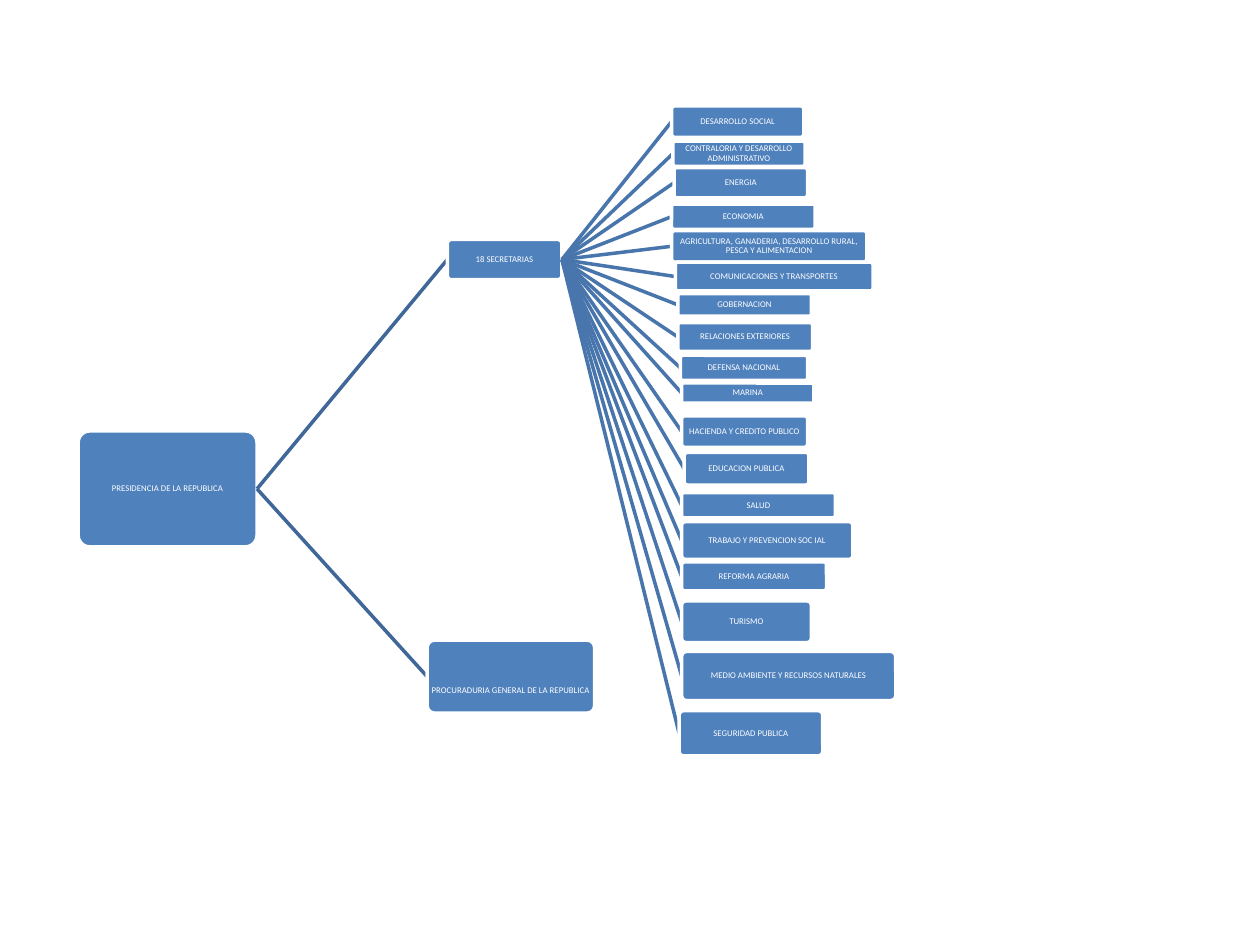
"""Builds an organisation chart of the presidency and its secretariats."""
from pptx import Presentation
from pptx.dml.color import RGBColor
from pptx.enum.shapes import MSO_CONNECTOR as Connector, MSO_SHAPE as Shape
from pptx.enum.text import MSO_ANCHOR as Anchor, PP_ALIGN as Align
from pptx.oxml.ns import qn
from pptx.util import Inches, Pt

WHITE = RGBColor(0xFF, 0xFF, 0xFF)
BLUE = RGBColor(0x4F, 0x81, 0xBD)
BRANCH_BLUE = RGBColor(0x3F, 0x67, 0x97)
LEAF_BLUE = RGBColor(0x48, 0x75, 0xAC)
TOP, LEFT, BOTTOM, RIGHT = range(4)

SECRETARIATS = [
    ("DESARROLLO SOCIAL", 5.33, 0.84, 1.05, 0.25),
    ("CONTRALORIA Y DESARROLLO ADMINISTRATIVO", 5.34, 1.12, 1.05, 0.2),
    ("ENERGIA", 5.35, 1.33, 1.06, 0.24),
    ("ECONOMIA", 5.33, 1.62, 1.14, 0.2),
    ("AGRICULTURA, GANADERIA, DESARROLLO RURAL, PESCA Y ALIMENTACION",
     5.33, 1.83, 1.55, 0.25),
    ("COMUNICACIONES Y TRANSPORTES", 5.36, 2.08, 1.57, 0.23),
    ("GOBERNACION", 5.38, 2.33, 1.06, 0.18),
    ("RELACIONES EXTERIORES", 5.38, 2.56, 1.07, 0.23),
    ("DEFENSA NACIONAL", 5.4, 2.82, 1.01, 0.2),
    ("MARINA", 5.41, 3.04, 1.05, 0.16),
    ("HACIENDA Y CREDITO PUBLICO", 5.41, 3.3, 1, 0.25),
    ("EDUCACION PUBLICA", 5.43, 3.59, 0.99, 0.26),
    ("SALUD", 5.41, 3.91, 1.22, 0.2),
    ("TRABAJO Y PREVENCION SOC IAL", 5.41, 4.14, 1.36, 0.3),
    ("REFORMA AGRARIA", 5.41, 4.46, 1.15, 0.23),
    ("TURISMO", 5.41, 4.77, 1.03, 0.33),
    ("MEDIO AMBIENTE Y RECURSOS NATURALES", 5.41, 5.17, 1.7, 0.39),
    ("SEGURIDAD PUBLICA", 5.39, 5.64, 1.14, 0.36),
]


def write_text(frame, text, *, size=5, color=WHITE, font="Calibri", inset_top=0):
    frame.word_wrap = True
    frame.vertical_anchor = Anchor.MIDDLE
    frame.margin_left = frame.margin_right = frame.margin_bottom = 0
    frame.margin_top = Inches(inset_top)
    paragraph = frame.paragraphs[0]
    paragraph.alignment = Align.CENTER
    paragraph.line_spacing = 0.9
    run = paragraph.add_run()
    run.text = text
    run.font.name = font
    run.font.size = Pt(size)
    run.font.color.rgb = color


class OrganisationChart:
    def __init__(self, slide, line_width=2, corner=0.1):
        self.slide = slide
        self.line_width = Pt(line_width)
        self.corner = corner

    def box(self, text, left, top, width, height, **text_format):
        shape = self.slide.shapes.add_shape(
            Shape.ROUNDED_RECTANGLE,
            Inches(left), Inches(top), Inches(width), Inches(height))
        shape.adjustments[0] = self.corner
        shape.shadow.inherit = False
        shape.fill.solid()
        shape.fill.fore_color.rgb = BLUE
        shape.line.color.rgb = WHITE
        shape.line.width = self.line_width
        write_text(shape.text_frame, text, **text_format)
        return shape

    def line(self, parent, color):
        connector = self.slide.shapes.add_connector(Connector.STRAIGHT, 0, 0, 0, 0)
        connector.begin_connect(parent, RIGHT)
        connector.line.color.rgb = color
        connector.line.width = self.line_width
        properties = connector._element.spPr
        properties.append(properties.makeelement(qn("a:effectLst"), {}))
        return connector

    def child(self, parent, color, *box, **text_format):
        connector = self.line(parent, color)
        shape = self.box(*box, **text_format)
        connector.end_connect(shape, LEFT)
        return shape


def main():
    presentation = Presentation()
    presentation.slide_width = Inches(10)
    presentation.slide_height = Inches(7.5)
    slide = presentation.slides.add_slide(presentation.slide_layouts[6])
    chart = OrganisationChart(slide)

    presidency = chart.box("PRESIDENCIA DE LA REPUBLICA", 0.62, 3.42, 1.42, 0.92)
    secretariats = chart.child(
        presidency, BRANCH_BLUE, "18 SECRETARIAS", 3.55, 1.9, 0.91, 0.32)
    for secretariat in SECRETARIATS:
        chart.child(secretariats, LEAF_BLUE, *secretariat)
    chart.child(presidency, BRANCH_BLUE, "PROCURADURIA GENERAL DE LA REPUBLICA",
                3.39, 5.08, 1.33, 0.58, inset_top=0.22)

    presentation.save("out.pptx")


if __name__ == "__main__":
    main()
